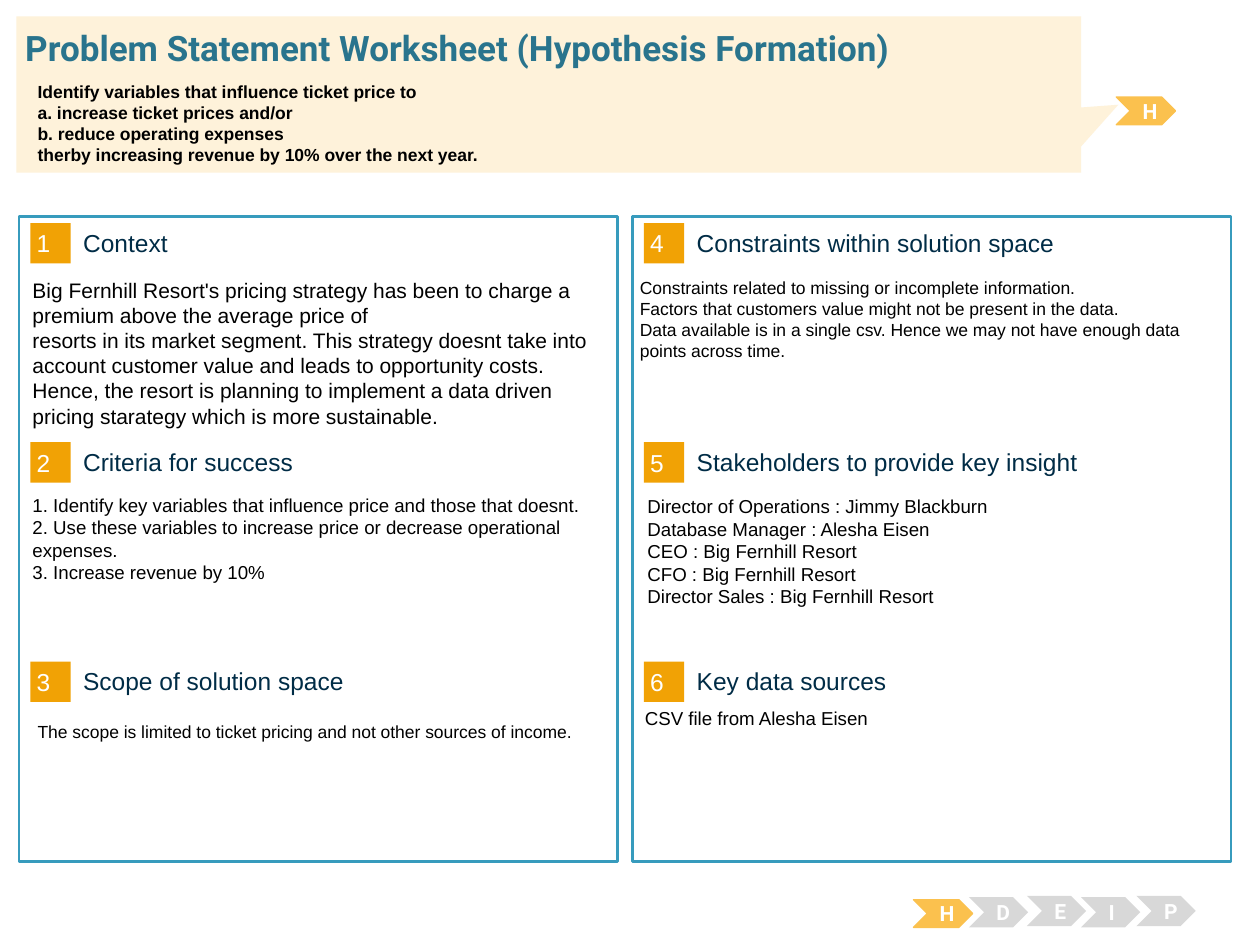
from pptx import Presentation
from pptx.dml.color import RGBColor
from pptx.enum.shapes import MSO_SHAPE as Shape
from pptx.enum.text import MSO_ANCHOR as Anchor, MSO_AUTO_SIZE as AutoSize, PP_ALIGN as Align
from pptx.util import Inches, Pt

presentation = Presentation()
presentation.slide_width, presentation.slide_height = Inches(10), Inches(7.5)
slide = presentation.slides.add_slide(presentation.slide_layouts[5])


def add_shape(kind, box, fill, line=None, line_width=0.75):
    shape = slide.shapes.add_shape(kind, *map(Inches, box))
    shape.shadow.inherit = False
    shape.fill.solid()
    shape.fill.fore_color.rgb = RGBColor.from_string(fill)
    if line:
        shape.line.color.rgb = RGBColor.from_string(line)
        shape.line.width = Pt(line_width)
    else:
        shape.line.fill.background()
    return shape


def write(shape, lines, size, color="000000", font="Arial", bold=False,
          align=Align.LEFT, anchor=Anchor.TOP, margin=None):
    frame = shape.text_frame
    frame.word_wrap = True
    frame.auto_size = AutoSize.NONE
    frame.vertical_anchor = anchor
    if margin is not None:
        frame.margin_left = frame.margin_right = Inches(margin)
        frame.margin_top = frame.margin_bottom = Inches(margin)
    frame.text = "\n".join(lines)
    for paragraph in frame.paragraphs:
        paragraph.alignment = align
        paragraph.font.size = Pt(size)
        paragraph.font.name = font
        paragraph.font.bold = bold
        paragraph.font.color.rgb = RGBColor.from_string(color)


for left in (0.15, 5.02):
    add_shape(Shape.RECTANGLE, (left, 1.72, 4.75, 5.12), "FFFFFF", "379BBD", 1.5)

headings = ["Context", "Criteria for success", "Scope of solution space",
            "Constraints within solution space",
            "Stakeholders to provide key insight", "Key data sources"]
for index, heading in enumerate(headings):
    column, row = divmod(index, 3)
    left, top = 0.24 + 4.87 * column, 1.77 + 1.74 * row
    badge = add_shape(Shape.RECTANGLE, (left, top, 0.32, 0.32), "F1A205")
    write(badge, [str(index + 1)], 14, "FFFFFF", anchor=Anchor.MIDDLE, margin=0.05)
    label = slide.shapes.add_textbox(Inches(left + 0.42), Inches(top + 0.03),
                                     Inches(3.93), Inches(0.25))
    write(label, [heading], 14, "002C46", anchor=Anchor.MIDDLE, margin=0)

bodies = [
    (0.16, 2.15, 1.36, 12, [
        "Big Fernhill Resort's pricing strategy has been to charge a premium above "
        "the average price of",
        "resorts in its market segment. This strategy doesnt take into account customer "
        "value and leads to opportunity costs. Hence, the resort is planning to implement "
        "a data driven pricing starategy which is more sustainable."]),
    (0.16, 3.87, 1.54, 10.7, [
        "1. Identify key variables that influence price and those that doesnt.",
        "2. Use these variables to increase price or decrease operational expenses.",
        "3. Increase revenue by 10%"]),
    (0.2, 5.67, 0.82, 10, [
        "The scope is limited to ticket pricing and not other sources of income."]),
    (4.98, 2.15, 1.18, 10, [
        "Constraints related to missing or incomplete information.",
        "Factors that customers value might not be present in the data.",
        "Data available is in a single csv. Hence we may not have enough data points "
        "across time."]),
    (5.04, 3.88, 1.18, 10.7, [
        "Director of Operations : Jimmy Blackburn",
        "Database Manager : Alesha Eisen",
        "CEO : Big Fernhill Resort",
        "CFO : Big Fernhill Resort",
        "Director Sales : Big Fernhill Resort"]),
    (5.02, 5.56, 1.18, 10.7, ["CSV file from Alesha Eisen"]),
]
for left, top, height, size, lines in bodies:
    body = slide.shapes.add_textbox(Inches(left), Inches(top), Inches(4.73), Inches(height))
    write(body, lines, size)

steps = [("H", 7.25, 7.14, True), ("D", 7.69, 7.12, False), ("E", 8.15, 7.11, False),
         ("I", 8.58, 7.12, False), ("P", 9.02, 7.11, False), ("H", 8.86, 0.77, True)]
for letter, left, top, active in steps:
    if active:
        chevron = add_shape(Shape.CHEVRON, (left, top, 0.47, 0.22), "FBC14E", "FBC14E")
    else:
        chevron = add_shape(Shape.CHEVRON, (left, top, 0.47, 0.24), "D8D8D8")
    write(chevron, [letter], 12, "FFFFFF", "Roboto", True, Align.CENTER, Anchor.MIDDLE)

callout = add_shape(Shape.RECTANGULAR_CALLOUT, (0.13, 0.13, 8.45, 1.24), "FEF2DA")
callout.adjustments[0], callout.adjustments[1] = 0.535, 0.066

title = slide.shapes.title
title.left, title.top = Inches(0.2), Inches(0.21)
title.width, title.height = Inches(9.62), Inches(0.34)
write(title, ["Problem Statement Worksheet (Hypothesis Formation)"], 20, "29748D",
      "Roboto", True, anchor=Anchor.MIDDLE, margin=0)
callout._element.addnext(title._element)

statement = slide.shapes.add_textbox(Inches(0.2), Inches(0.59), Inches(9.39), Inches(0.54))
write(statement, ["Identify variables that influence ticket price to",
                  "a. increase ticket prices and/or",
                  "b. reduce operating expenses",
                  "therby increasing revenue by 10% over the next year."], 10, bold=True)

presentation.save("out.pptx")
